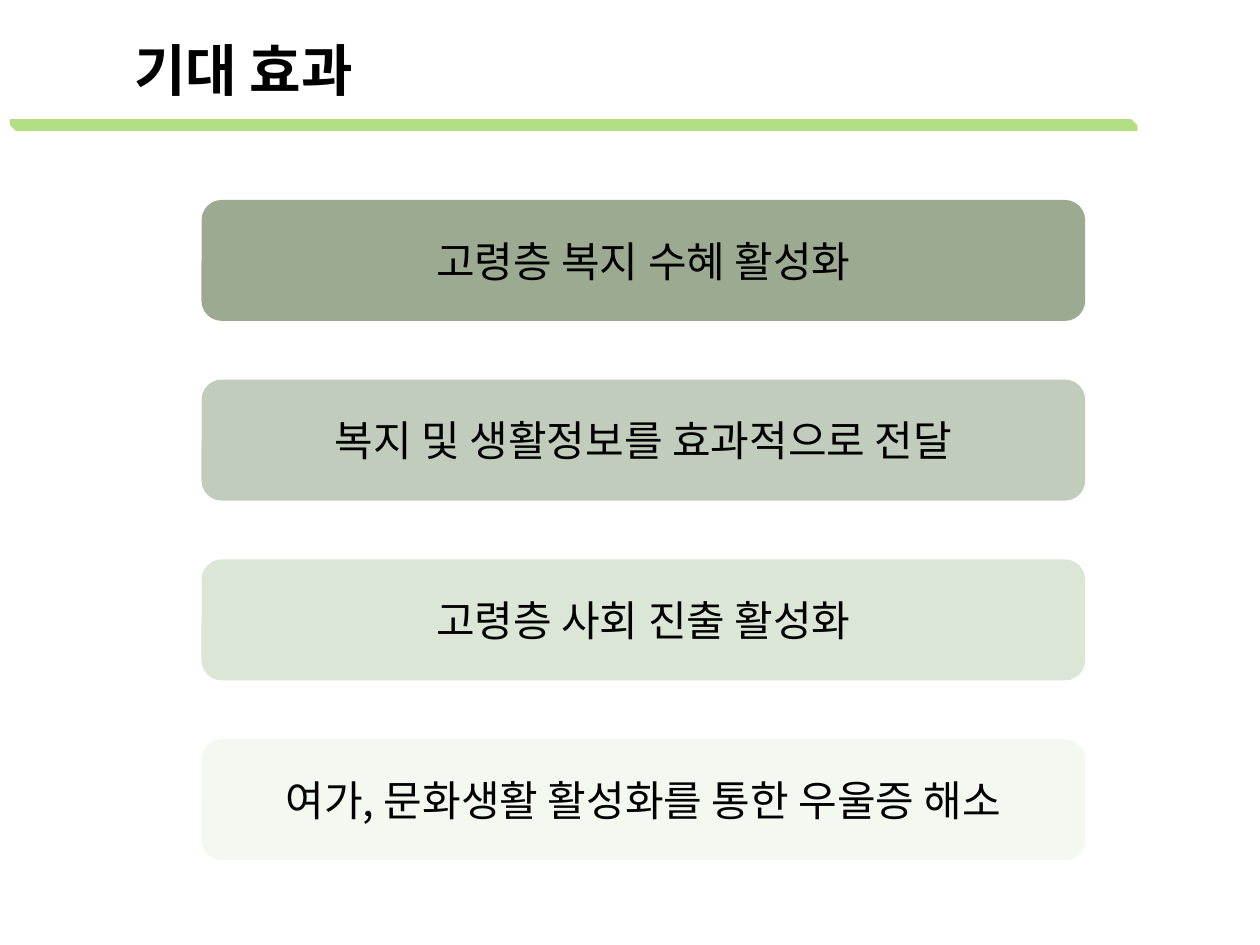
from dataclasses import dataclass

from lxml import etree
from pptx import Presentation
from pptx import util as u
from pptx.dml.color import RGBColor
from pptx.enum import shapes, text
from pptx.oxml import ns
from pptx.shapes.autoshape import Shape
from pptx.slide import Slide
from pptx.text.text import TextFrame

FONT = "Noto Sans CJK KR"
SLIDE_WIDTH = 7.5
SLIDE_HEIGHT = SLIDE_WIDTH * 3 / 4
EFFECT_LEFT, EFFECT_TOP, EFFECT_PITCH = 1.2, 1.19, 1.07
EFFECT_WIDTH, EFFECT_HEIGHT = 5.26, 0.72


@dataclass(frozen=True)
class Effect:
    wording: str
    color: str
    opacity: int


EFFECTS = [
    Effect("고령층 복지 수혜 활성화", "385723", 50),
    Effect("복지 및 생활정보를 효과적으로 전달", "385723", 30),
    Effect("고령층 사회 진출 활성화", "548235", 20),
    Effect("여가, 문화생활 활성화를 통한 우울증 해소", "C5E0B4", 20),
]


def rgb(color: str) -> RGBColor:
    return RGBColor.from_string(color)


def fill_translucent(shape: Shape, color: str, opacity: int) -> None:
    """Fill without outline or shadow; opacity is in percent."""
    shape.shadow.inherit = False
    shape.line.fill.background()
    shape.fill.solid()
    shape.fill.fore_color.rgb = rgb(color)
    tint = shape.fill._xPr.find(ns.qn("a:solidFill"))[0]
    etree.SubElement(tint, ns.qn("a:alpha"), val=str(opacity * 1000))


def write(frame: TextFrame, wording: str, size: int, bold: bool,
          align: text.PP_ALIGN) -> None:
    frame.word_wrap = True
    paragraph = frame.paragraphs[0]
    paragraph.alignment = align
    run = paragraph.add_run()
    run.text = wording
    run.font.name = FONT
    run.font.size = u.Pt(size)
    run.font.bold = bold
    run.font.color.rgb = rgb("000000")
    # Korean glyphs take the East Asian typeface
    etree.SubElement(run.font._element, ns.qn("a:ea"), typeface=FONT)


def add_heading(slide: Slide, wording: str) -> None:
    heading = slide.shapes.add_textbox(
        u.Inches(0.7), u.Inches(0.16), u.Inches(5.26), u.Inches(0.5))
    write(heading.text_frame, wording, 24, True, text.PP_ALIGN.LEFT)
    heading.text_frame.auto_size = text.MSO_AUTO_SIZE.SHAPE_TO_FIT_TEXT

    underline = slide.shapes.add_shape(
        shapes.MSO_SHAPE.SNIP_2_DIAG_RECTANGLE,
        u.Inches(0.06), u.Inches(0.71), u.Inches(6.71), u.Inches(0.07))
    underline.adjustments[0] = 0
    underline.adjustments[1] = 0.5
    fill_translucent(underline, "92D050", 70)


def add_effect(slide: Slide, effect: Effect, row: int) -> None:
    panel = slide.shapes.add_shape(
        shapes.MSO_SHAPE.ROUNDED_RECTANGLE,
        u.Inches(EFFECT_LEFT), u.Inches(EFFECT_TOP + row * EFFECT_PITCH),
        u.Inches(EFFECT_WIDTH), u.Inches(EFFECT_HEIGHT))
    fill_translucent(panel, effect.color, effect.opacity)
    panel.text_frame.vertical_anchor = text.MSO_ANCHOR.MIDDLE
    write(panel.text_frame, effect.wording, 18, False, text.PP_ALIGN.CENTER)


def main() -> None:
    deck = Presentation()
    deck.slide_width = u.Inches(SLIDE_WIDTH)
    deck.slide_height = u.Inches(SLIDE_HEIGHT)
    slide = deck.slides.add_slide(deck.slide_layouts[6])
    add_heading(slide, "기대 효과")
    for row, effect in enumerate(EFFECTS):
        add_effect(slide, effect, row)
    deck.save("out.pptx")


if __name__ == "__main__":
    main()
